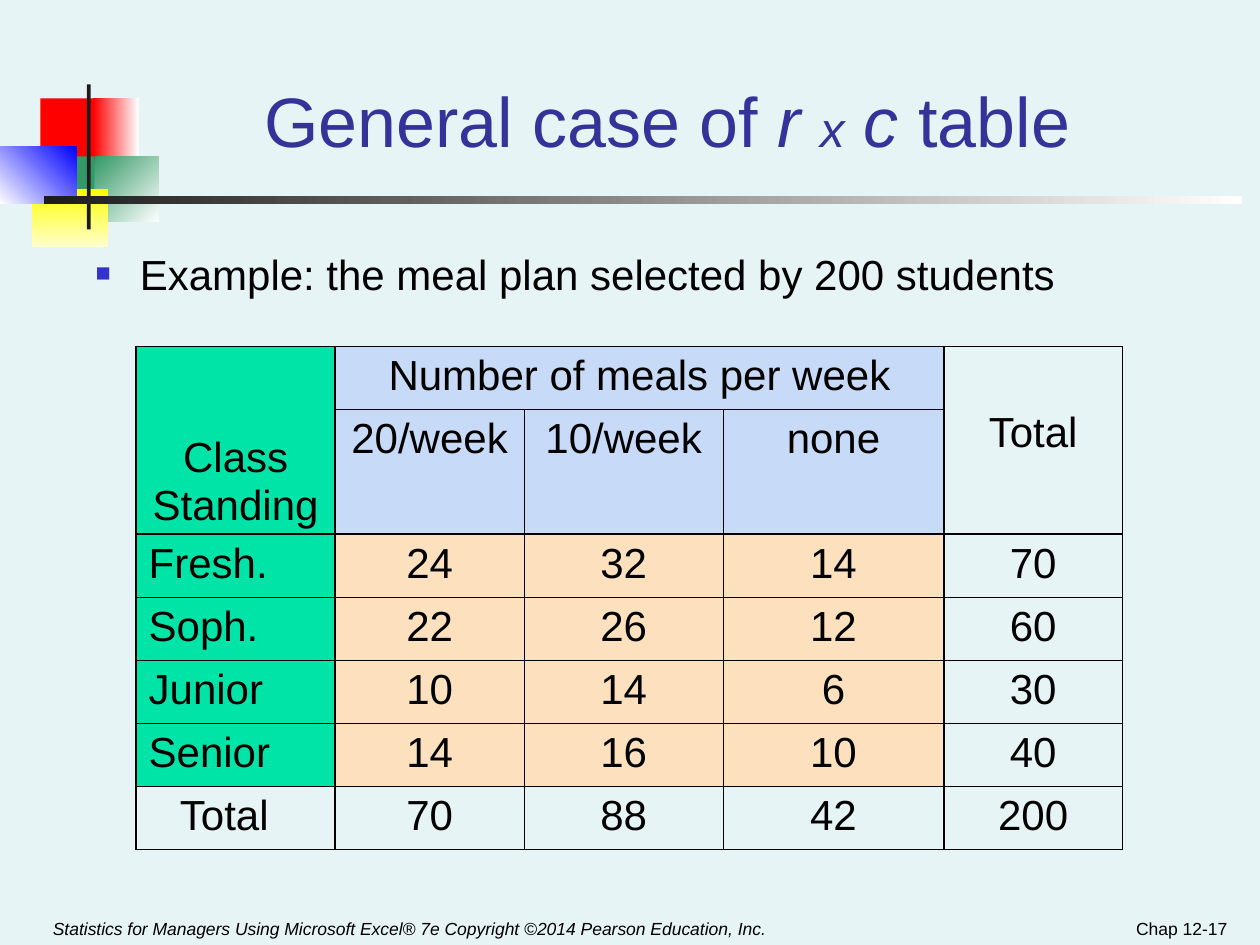
from lxml import etree
from pptx import Presentation
from pptx.dml.color import RGBColor
from pptx.enum.shapes import MSO_SHAPE
from pptx.enum.text import MSO_ANCHOR, PP_ALIGN
from pptx.oxml.ns import qn
from pptx.util import Inches, Pt

RECTANGLE = MSO_SHAPE.RECTANGLE
TOP, BOTTOM = MSO_ANCHOR.TOP, MSO_ANCHOR.BOTTOM
LEFT, CENTER, RIGHT = PP_ALIGN.LEFT, PP_ALIGN.CENTER, PP_ALIGN.RIGHT

FONT = "Arial"
COLORS = {
    "page": "E7F4F5", "text": "000000", "title": "333399", "bullet": "3333CC",
    "red": "FF0000", "green": "339966", "yellow": "FFFF00", "cream": "FFFFCC",
    "blue": "0000FF", "white": "FFFFFF", "dark": "1C1C1C",
    "class": "00E4A8", "meals": "C7DAF7", "count": "FDE0BD",
}

# Left, top, width, height, colours and clockwise gradient angle
ORNAMENTS = [
    (0.32, 0.78, 0.48, 0.52, ["red"], 0),
    (0.74, 0.78, 0.36, 0.52, ["red", "white"], 0),
    (0.75, 1.24, 0.51, 0.52, ["green", "white"], 45),
    (0.43, 1.24, 0.32, 0.52, ["green"], 0),
    (0.25, 1.5, 0.61, 0.46, ["yellow", "cream"], 90),
    (0, 1.16, 0.61, 0.46, ["white", "blue"], 315),
    (0.69, 0.67, 0.03, 1.15, ["dark"], 0),
    (0.35, 1.56, 9.51, 0.06, ["dark", "white"], 0),
]

# Meal plan table; None marks a cell covered by a merge
MEALS = [
    ["Class\nStanding", "Number of meals per week", None, None, "Total"],
    [None, "20/week", "10/week", "none", None],
    ["Fresh.", 24, 32, 14, 70],
    ["Soph.", 22, 26, 12, 60],
    ["Junior", 10, 14, 6, 30],
    ["Senior", 14, 16, 10, 40],
    ["Total", 70, 88, 42, 200],
]
MERGES = {(0, 0): (1, 0), (0, 1): (0, 3), (0, 4): (1, 4)}
COLUMN_WIDTHS = [1.58, 1.5, 1.58, 1.75, 1.42]
ROW_HEIGHTS = [0.5, 0.99] + [0.5] * 5
HEAVY_COLUMN_EDGES, HEAVY_ROW_EDGES = {0, 1, 4, 5}, {0, 2, 6, 7}
HEAVY, THIN = Pt(1.08), Pt(0.45)


def rgb(name):
    return RGBColor.from_string(COLORS[name])


def style_font(font, size, color="text", italic=False):
    font.name, font.size, font.italic = FONT, Pt(size), italic
    font.color.rgb = rgb(color)


def add_ornament(page, left, top, width, height, colors, angle):
    shape = page.shapes.add_shape(RECTANGLE, Inches(left), Inches(top),
                                  Inches(width), Inches(height))
    shape.shadow.inherit = False
    shape.line.fill.background()
    if len(colors) == 1:
        shape.fill.solid()
        shape.fill.fore_color.rgb = rgb(colors[0])
        return
    shape.fill.gradient()
    shape.fill.gradient_angle = (360 - angle) % 360
    for stop, color, position in zip(shape.fill.gradient_stops, colors, (0, 1)):
        stop.color.rgb = rgb(color)
        stop.position = position


def add_text(page, left, top, width, height, spans, align=LEFT, anchor=BOTTOM):
    """Add one paragraph of (text, size, colour, italic) spans."""
    box = page.shapes.add_textbox(Inches(left), Inches(top), Inches(width), Inches(height))
    frame = box.text_frame
    frame.word_wrap = True
    frame.vertical_anchor = anchor
    frame.margin_left = frame.margin_right = Inches(0.09)
    frame.margin_top = frame.margin_bottom = Inches(0.05)
    para = frame.paragraphs[0]
    para.alignment = align
    for text, size, color, italic in spans:
        span = para.add_run()
        span.text = text
        style_font(span.font, size, color, italic)
    return para


def add_bullet(para):
    props = para._p.get_or_add_pPr()
    props.set("marL", str(Inches(0.35)))
    props.set("indent", str(-Inches(0.35)))
    color = etree.SubElement(props, qn("a:buClr"))
    etree.SubElement(color, qn("a:srgbClr"), val=COLORS["bullet"])
    etree.SubElement(props, qn("a:buSzPct"), val="60000")
    etree.SubElement(props, qn("a:buFont"), typeface=FONT)
    etree.SubElement(props, qn("a:buChar"), char="■")


def set_borders(cell, row, column, last_row, last_column):
    props = cell._tc.get_or_add_tcPr()
    edges = {
        "a:lnL": column in HEAVY_COLUMN_EDGES,
        "a:lnR": last_column + 1 in HEAVY_COLUMN_EDGES,
        "a:lnT": row in HEAVY_ROW_EDGES,
        "a:lnB": last_row + 1 in HEAVY_ROW_EDGES,
    }
    for tag, heavy in edges.items():
        line = etree.SubElement(props, qn(tag), w=str(HEAVY if heavy else THIN))
        fill = etree.SubElement(line, qn("a:solidFill"))
        etree.SubElement(fill, qn("a:srgbClr"), val=COLORS["text"])


def cell_color(row, column):
    if row == 6 or column == 4:
        return None
    if column == 0:
        return "class"
    return "meals" if row < 2 else "count"


def fill_cell(cell, value, row, column):
    color = cell_color(row, column)
    if color:
        cell.fill.solid()
        cell.fill.fore_color.rgb = rgb(color)
    else:
        cell.fill.background()
    cell.margin_left = cell.margin_right = Inches(0.1)
    cell.margin_top = cell.margin_bottom = Inches(0.05)
    cell.vertical_anchor = TOP
    cell.text_frame.text = str(value)
    for para in cell.text_frame.paragraphs:
        para.alignment = LEFT if column == 0 and 2 <= row < 6 else CENTER
        style_font(para.runs[0].font, 24)


def add_meal_table(page):
    frame = page.shapes.add_table(len(ROW_HEIGHTS), len(COLUMN_WIDTHS), Inches(1.08),
                                  Inches(2.75), Inches(sum(COLUMN_WIDTHS)),
                                  Inches(sum(ROW_HEIGHTS)))
    table = frame.table
    table.first_row = table.horz_banding = False
    for column, width in zip(table.columns, COLUMN_WIDTHS):
        column.width = Inches(width)
    for row, height in zip(table.rows, ROW_HEIGHTS):
        row.height = Inches(height)
    for first, last in MERGES.items():
        table.cell(*first).merge(table.cell(*last))

    for row, values in enumerate(MEALS):
        for column, value in enumerate(values):
            if value is None:
                continue
            last_row, last_column = MERGES.get((row, column), (row, column))
            for r in range(row, last_row + 1):
                for c in range(column, last_column + 1):
                    set_borders(table.cell(r, c), row, column, last_row, last_column)
            fill_cell(table.cell(row, column), value, row, column)

    # Cells whose text sits apart from the rest
    standing = table.cell(0, 0)
    standing.vertical_anchor = BOTTOM
    for para in standing.text_frame.paragraphs:
        para.line_spacing = 0.8
    standing.text_frame.paragraphs[1].space_before = Pt(6)
    table.cell(0, 4).margin_top = Inches(0.5)
    table.cell(6, 0).margin_right = Inches(0.28)


def main():
    deck = Presentation()
    deck.slide_width, deck.slide_height = Inches(10), Inches(7.5)
    page = deck.slides.add_slide(deck.slide_layouts[6])
    page.background.fill.solid()
    page.background.fill.fore_color.rgb = rgb("page")

    # Corner ornament and rule
    for ornament in ORNAMENTS:
        add_ornament(page, *ornament)

    # Footer
    add_text(page, 0.33, 7.08, 6.33, 0.42, [(
        "Statistics for Managers Using Microsoft Excel® 7e Copyright ©2014 "
        "Pearson Education, Inc.", 10, "text", True)])
    add_text(page, 7.5, 7.15, 2.33, 0.35, [("Chap 12-17", 10, "text", False)], RIGHT)

    # Title and lead-in
    add_text(page, 1.26, 0.25, 8.07, 1.08, [
        ("General case of ", 40, "title", False),
        ("r ", 40, "title", True),
        ("x", 28, "title", True),
        (" c ", 40, "title", True),
        ("table", 40, "title", False),
    ], CENTER)
    example = add_text(page, 0.67, 1.92, 9, 0.54, [
        ("Example: the meal plan selected by 200 students", 24, "text", False)], anchor=TOP)
    add_bullet(example)

    add_meal_table(page)
    deck.save("out.pptx")


if __name__ == "__main__":
    main()
